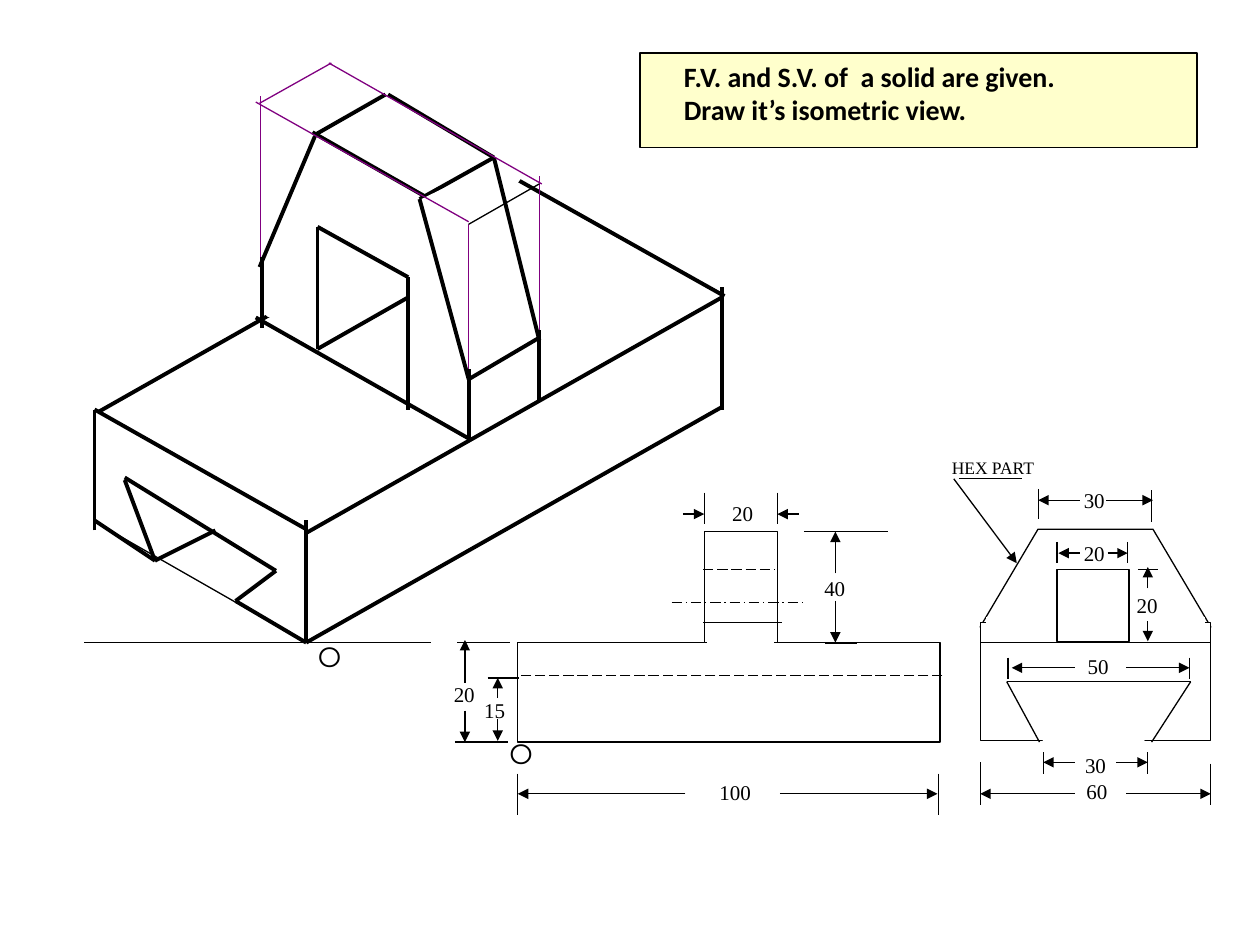
"""Draw a solid's isometric view beside its dimensioned front and side views."""
from lxml import etree
from pptx import Presentation
from pptx.dml.color import RGBColor
from pptx.enum.dml import MSO_LINE
from pptx.enum.shapes import MSO_CONNECTOR, MSO_SHAPE
from pptx.enum.text import MSO_AUTO_SIZE, PP_ALIGN
from pptx.oxml.ns import qn
from pptx.util import Pt

PX = 9144
STRAIGHT = MSO_CONNECTOR.STRAIGHT
RECT, OVAL, HEXAGON = MSO_SHAPE.RECTANGLE, MSO_SHAPE.OVAL, MSO_SHAPE.HEXAGON
LONG_DASH, LONG_DASH_DOT = MSO_LINE.LONG_DASH, MSO_LINE.LONG_DASH_DOT
FIT_TEXT = MSO_AUTO_SIZE.SHAPE_TO_FIT_TEXT
LEFT, CENTER = PP_ALIGN.LEFT, PP_ALIGN.CENTER
COLORS = {"ink": "000000", "paper": "FFFFFF", "guide": "800080", "note": "FFFFCC"}
THIN, THICK = 0.75, 2.25


def rgb(name):
    return RGBColor.from_string(COLORS[name])


class Drawing:
    def __init__(self, slide):
        self.shapes = slide.shapes

    def line(self, x1, y1, x2, y2, color="ink", width=THIN, dash=None, arrow=False):
        edge = self.shapes.add_connector(STRAIGHT, x1 * PX, y1 * PX, x2 * PX, y2 * PX)
        edge.line.color.rgb = rgb(color)
        edge.line.width = Pt(width)
        if dash:
            edge.line.dash_style = dash
        properties = edge._element.spPr
        if arrow:
            outline = properties.find(qn("a:ln"))
            etree.SubElement(outline, qn("a:tailEnd"), type="triangle")
        etree.SubElement(properties, qn("a:effectLst"))

    def lines(self, ends, **style):
        for end in ends:
            self.line(*end, **style)

    def shape(self, kind, x, y, w, h, fill="paper", outline="ink"):
        area = self.shapes.add_shape(kind, x * PX, y * PX, w * PX, h * PX)
        area.shadow.inherit = False
        area.fill.solid()
        area.fill.fore_color.rgb = rgb(fill)
        if outline:
            area.line.color.rgb = rgb(outline)
            area.line.width = Pt(THIN)
        else:
            area.line.fill.background()
        return area

    def text(self, words, x, y, w, h, size, font, bold=False, align=CENTER):
        frame = self.shapes.add_textbox(x * PX, y * PX, w * PX, h * PX).text_frame
        frame.word_wrap = False
        frame.auto_size = FIT_TEXT
        frame.text = words
        for paragraph in frame.paragraphs:
            paragraph.alignment = align
            paragraph.font.size = Pt(size)
            paragraph.font.name = font
            paragraph.font.bold = bold
            paragraph.font.color.rgb = rgb("ink")

    def origin(self, x, y):
        self.text("O", x, y, 39, 37, 16, "Montserrat")

    def dimension(self, value, x, y):
        width = 37 if value < 100 else 45
        self.text(str(value), x, y, width, 30, 12, "Times New Roman")

    def across(self, y, *spans):
        for start, tip in spans:
            self.line(start, y, tip, y, arrow=True)

    def upright(self, x, *spans):
        for start, tip in spans:
            self.line(x, start, x, tip, arrow=True)


def draw_isometric(drawing):
    drawing.lines([(67, 510, 342, 510), (243, 510, 75, 414)])
    base = [
        (243, 510, 573, 323), (75, 421, 75, 325), (243, 510, 243, 413),
        (573, 325, 573, 228), (243, 420, 75, 325), (243, 423, 573, 236),
        (575, 235, 406, 140), (78, 327, 408, 140),
    ]
    notch = [
        (99, 379, 219, 453), (99, 381, 123, 445), (219, 453, 187, 477),
        (123, 445, 171, 421), (75, 413, 123, 445), (187, 477, 243, 510),
    ]
    drawing.lines(base + notch, width=THICK)
    drawing.lines([(372, 349, 372, 172), (207, 252, 207, 76), (428, 317, 428, 140)],
                  color="guide")
    tower = [
        (372, 348, 203, 252), (341, 158, 248, 105), (250, 108, 206, 212),
        (208, 204, 208, 260), (372, 293, 372, 349), (306, 75, 250, 107),
        (392, 125, 333, 158), (428, 262, 428, 319), (392, 125, 308, 75),
        (428, 268, 372, 301), (324, 220, 324, 325), (252, 277, 324, 236),
    ]
    drawing.lines(tower, width=THICK)
    hidden_edge = drawing.shape(OVAL, 195, 172, 236, 39, outline=None)
    hidden_edge.rotation = 330.5
    drawing.lines([(333, 158, 372, 301), (392, 125, 428, 270),
                   (252, 180, 324, 220), (252, 277, 252, 180)], width=THICK)
    drawing.lines([(430, 146, 261, 50), (263, 50, 206, 82), (372, 176, 203, 81)],
                  color="guide")
    drawing.line(428, 146, 372, 178)
    drawing.origin(242, 503)


def draw_views(drawing):
    hexagon = drawing.shape(HEXAGON, 778, 420, 183, 155)
    hexagon.adjustments[0] = 0.296
    drawing.shape(RECT, 778, 494, 183, 94)
    drawing.lines([(799, 541, 945, 541), (825, 589, 799, 541), (914, 589, 945, 541)])
    drawing.shape(OVAL, 826, 570, 84, 52, outline="paper")
    drawing.shape(RECT, 783, 490, 173, 16, outline="paper")
    drawing.line(778, 510, 961, 510)
    drawing.shape(RECT, 411, 510, 335, 79)
    drawing.line(748, 536, 412, 536, dash=LONG_DASH)
    drawing.shape(RECT, 559, 422, 58, 88)
    drawing.shape(RECT, 562, 494, 52, 26, outline="paper")
    drawing.line(558, 452, 615, 452, dash=LONG_DASH)
    drawing.line(533, 478, 638, 478, dash=LONG_DASH_DOT)
    drawing.shape(RECT, 839, 452, 57, 57)
    drawing.line(558, 494, 621, 494)
    drawing.origin(394, 580)


def draw_dimensions(drawing):
    for x, top, bottom in [
        (411, 614, 647), (745, 614, 647), (559, 391, 416), (617, 391, 416),
        (824, 388, 412), (914, 389, 414), (778, 605, 639), (961, 606, 639),
        (828, 597, 614), (911, 597, 614), (800, 522, 539), (944, 522, 539),
        (839, 430, 447), (895, 430, 447),
    ]:
        drawing.line(x, top, x, bottom)
    for y, left, right in [
        (510, 363, 405), (589, 361, 403), (538, 387, 412), (422, 638, 705),
        (511, 655, 680), (452, 903, 919),
    ]:
        drawing.line(left, y, right, y)
    drawing.across(408, (542, 559), (634, 617))
    drawing.across(397, (857, 824), (878, 915))
    drawing.across(530, (853, 803), (894, 944))
    drawing.across(439, (857, 840), (879, 895))
    drawing.across(605, (853, 828), (886, 911))
    drawing.across(630, (853, 778), (894, 961), (544, 411), (619, 744))
    drawing.upright(663, (477, 510), (455, 422))
    drawing.upright(911, (467, 450), (493, 509))
    drawing.upright(395, (571, 588), (554, 538))
    drawing.upright(369, (542, 508), (564, 589))
    for value, x, y in [
        (20, 571, 392), (20, 350, 536), (15, 374, 549), (30, 850, 382),
        (60, 852, 613), (30, 851, 592), (20, 892, 465), (20, 850, 424),
        (40, 644, 452), (100, 561, 614), (50, 853, 514),
    ]:
        drawing.dimension(value, x, y)
    drawing.line(757, 380, 807, 447, arrow=True)
    drawing.line(761, 380, 811, 380)
    drawing.text("HEX PART", 744, 358, 88, 27, 10, "Times New Roman")


def draw_task(drawing):
    drawing.shape(RECT, 508, 42, 442, 75, fill="note")
    drawing.text("F.V. and S.V. of  a solid are given.\nDraw it’s isometric view.",
                 533, 42, 324, 64, 16, "Calibri", bold=True, align=LEFT)


def main():
    deck = Presentation()
    deck.slide_width, deck.slide_height = 1000 * PX, 750 * PX
    drawing = Drawing(deck.slides.add_slide(deck.slide_layouts[6]))
    draw_isometric(drawing)
    draw_views(drawing)
    draw_dimensions(drawing)
    draw_task(drawing)
    deck.save("out.pptx")


if __name__ == "__main__":
    main()
